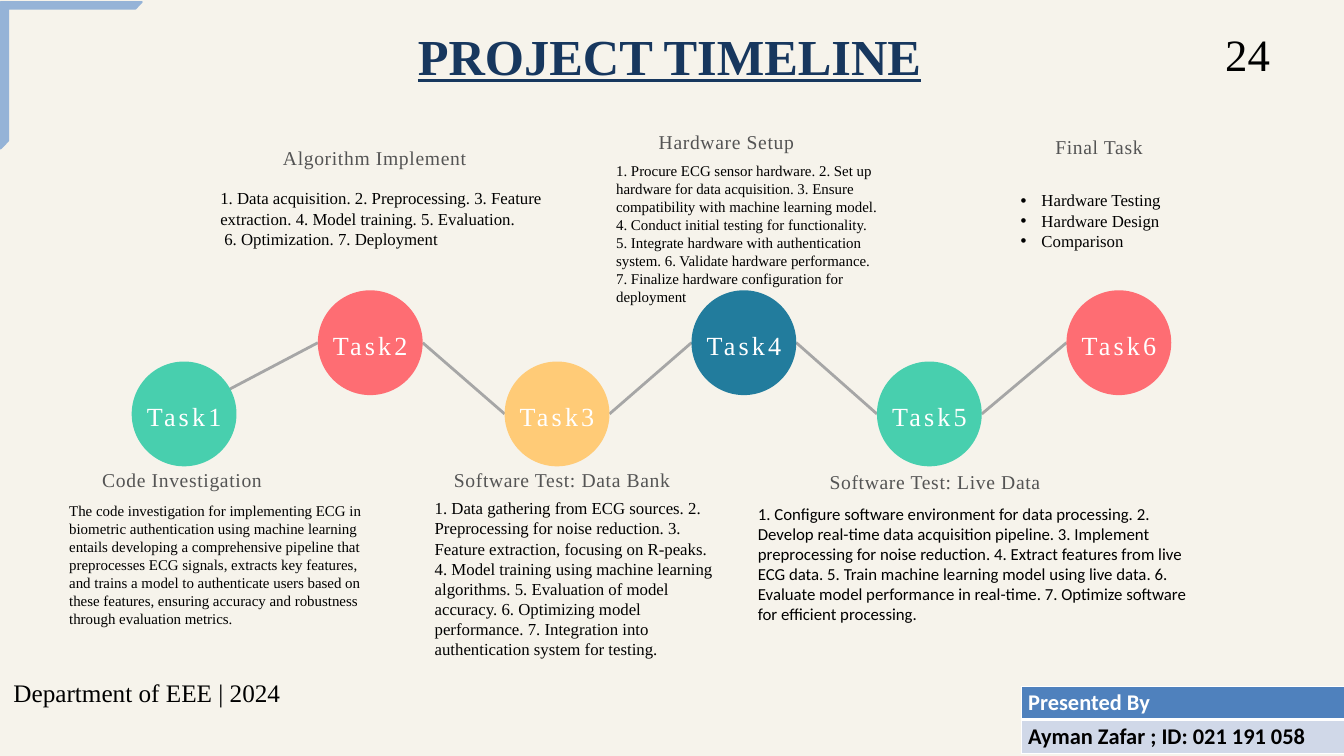
from itertools import pairwise

from lxml.etree import SubElement
from pptx import Presentation
from pptx.dml.color import RGBColor
from pptx.enum.shapes import MSO_CONNECTOR, MSO_SHAPE as SHAPE
from pptx.enum.text import MSO_AUTO_SIZE as AUTO, PP_ALIGN as ALIGN
from pptx.oxml.ns import qn
from pptx.util import Inches, Pt

SERIF, SANS = "Times New Roman", "Calibri"
GREEN, CORAL, YELLOW, BLUE = "48CFAE", "FE6D73", "FFCB77", "227C9D"
DIAMETER = 1.56
HIGH, LOW = 4.32, 5.38


def rgb(value):
    return RGBColor.from_string(value)


class Slide:
    """Holds the style and the page being drawn."""

    def __init__(self, page, background):
        self.page = page
        page.background.fill.solid()
        page.background.fill.fore_color.rgb = rgb(background)

    def style(self, para, size, color="000000", font=SERIF, bold=False,
              underline=False, spacing=0):
        for span in para.runs:
            span.font.size = Pt(size)
            span.font.name = font
            span.font.color.rgb = rgb(color)
            span.font.bold = bold
            span.font.underline = underline
            if spacing:
                span.font._element.set("spc", str(round(spacing * 100)))

    def frame(self, place, text):
        box = self.page.shapes.add_textbox(*map(Inches, place))
        frame = box.text_frame
        frame.text = text
        frame.word_wrap = True
        frame.auto_size = AUTO.SHAPE_TO_FIT_TEXT
        return frame

    def no_margins(self, frame):
        frame.margin_left = frame.margin_right = 0
        frame.margin_top = frame.margin_bottom = 0

    def label(self, place, text, size, leading, **look):
        """One centred line without margins."""
        frame = self.frame(place, text)
        self.no_margins(frame)
        para = frame.paragraphs[0]
        para.alignment = ALIGN.CENTER
        para.line_spacing = Pt(leading)
        self.style(para, size, **look)

    def heading(self, left, top, width, text):
        self.label((left, top, width, 0.37), text, 21, 29.4,
                   color="545454", spacing=0.7)

    def body(self, place, text, size=18, font=SERIF, margins=True):
        frame = self.frame(place, text)
        if not margins:
            self.no_margins(frame)
        for para in frame.paragraphs:
            self.style(para, size, font=font)
        return frame

    def bullets(self, place, items):
        for para in self.body(place, "\n".join(items)).paragraphs:
            props = para._p.get_or_add_pPr()
            props.set("marL", str(Inches(0.31)))
            props.set("indent", str(-Inches(0.31)))
            SubElement(props, qn("a:buFont"), typeface="Arial")
            SubElement(props, qn("a:buChar"), char="•")

    def line(self, start, end):
        line = self.page.shapes.add_connector(
            MSO_CONNECTOR.STRAIGHT, *map(Inches, (*start, *end)))
        line.line.color.rgb = rgb("A6A6A6")
        line.line.width = Pt(3)
        SubElement(line._element.spPr, qn("a:effectLst"))

    def shape(self, kind, place, fill, outline=0):
        shape = self.page.shapes.add_shape(kind, *map(Inches, place))
        shape.shadow.inherit = False
        shape.fill.solid()
        shape.fill.fore_color.rgb = rgb(fill)
        if outline:
            shape.line.color.rgb = rgb(fill)
            shape.line.width = Pt(outline)
        else:
            shape.line.fill.background()
        return shape

    def table(self, place, rows):
        table = self.page.shapes.add_table(
            len(rows), 1, *map(Inches, place)).table
        for index, (text, color, fill, bottom) in enumerate(rows):
            table.rows[index].height = Inches(place[3] / len(rows))
            cell = table.cell(index, 0)
            cell.text = text
            self.style(cell.text_frame.paragraphs[0], 24, color, SANS, bold=True)
            props = cell._tc.get_or_add_tcPr()
            for side, width in zip("LRTB", (1, 1, 1, bottom)):
                edge = SubElement(props, qn(f"a:ln{side}"), w=str(Pt(width)))
                solid = SubElement(edge, qn("a:solidFill"))
                SubElement(solid, qn("a:srgbClr"), val="FFFFFF")
            cell.fill.solid()
            cell.fill.fore_color.rgb = rgb(fill)


def main():
    deck = Presentation()
    deck.slide_width, deck.slide_height = Inches(20), Inches(11.25)
    slide = Slide(deck.slides.add_slide(deck.slide_layouts[6]), "F6F3EB")

    # Zigzag of tasks: lines first, then circles and their labels
    tasks = [(1.96, LOW, GREEN), (4.73, HIGH, CORAL), (7.51, LOW, YELLOW),
             (10.29, HIGH, BLUE), (13.05, LOW, GREEN), (15.87, HIGH, CORAL)]
    radius = DIAMETER / 2
    for number, (task, following) in enumerate(pairwise(tasks), 1):
        start = (task[0] + DIAMETER, task[1] + radius)
        if number == 1:
            start = (3.42, 5.79)
        slide.line(start, (following[0], following[1] + radius))
    for left, top, color in tasks:
        slide.shape(SHAPE.OVAL, (left, top, DIAMETER, DIAMETER), color)
    for number, (left, top, _) in enumerate(tasks, 1):
        slide.label((left, top + 0.43, DIAMETER, 0.59), f"Task{number}",
                    28, 44.8, color="FFFFFF", spacing=3.4)

    # Title, page number and corner
    slide.label((5.81, 0.5, 8.31, 0.77), "PROJECT TIMELINE", 54, 55.5,
                color="17375E", bold=True, underline=True)
    slide.label((17.83, 0.12, 1.47, 1.09), "24", 48, 78)
    corner = slide.shape(SHAPE.HALF_FRAME, (0.01, 0.03, 2.1, 2.18), "95B3D7", 2)
    corner.adjustments[0], corner.adjustments[1] = 0.048, 0.053

    # Task headings
    for heading in [(1.15, 6.9, 3.12, "Code Investigation"),
                    (3.97, 2.12, 3.21, "Algorithm Implement"),
                    (6.41, 6.9, 3.91, "Software Test: Data Bank"),
                    (9.27, 1.87, 3.08, "Hardware Setup"),
                    (11.96, 6.94, 3.91, "Software Test: Live Data"),
                    (15.24, 1.95, 2.23, "Final Task")]:
        slide.heading(*heading)

    # Task descriptions
    slide.body((1.03, 7.47, 4.46, 1.88),
               "The code investigation for implementing ECG in biometric "
               "authentication using machine learning entails developing a "
               "comprehensive pipeline that preprocesses ECG signals, extracts "
               "key features, and trains a model to authenticate users based on "
               "these features, ensuring accuracy and robustness through "
               "evaluation metrics.", size=16, margins=False)
    algorithm = slide.body(
        (3.18, 2.75, 5.06, 1.01),
        "1. Data acquisition. 2. Preprocessing. 3. Feature extraction. "
        "4. Model training. 5. Evaluation.\n6. Optimization. 7. Deployment")
    last_line = algorithm.paragraphs[1]._p.get_or_add_pPr()
    last_line.set("marL", str(Inches(0.06)))
    slide.body((6.37, 7.36, 4.46, 2.52),
               "1. Data gathering from ECG sources. 2. Preprocessing for noise "
               "reduction. 3. Feature extraction, focusing on R-peaks. 4. Model "
               "training using machine learning algorithms. 5. Evaluation of "
               "model accuracy. 6. Optimizing model performance. 7. Integration "
               "into authentication system for testing.")
    slide.body((9.07, 2.36, 4.13, 2.26),
               "1. Procure ECG sensor hardware. 2. Set up hardware for data "
               "acquisition. 3. Ensure compatibility with machine learning "
               "model. 4. Conduct initial testing for functionality. "
               "5. Integrate hardware with authentication system. 6. Validate "
               "hardware performance. 7. Finalize hardware configuration for "
               "deployment", size=16)
    slide.body((11.18, 7.44, 6.67, 1.92),
               "1. Configure software environment for data processing. "
               "2. Develop real-time data acquisition pipeline. 3. Implement "
               "preprocessing for noise reduction. 4. Extract features from live "
               "ECG data. 5. Train machine learning model using live data. "
               "6. Evaluate model performance in real-time. 7. Optimize software "
               "for efficient processing.", font=SANS)
    slide.bullets((15.09, 2.78, 4.33, 1.62),
                  ["Hardware Testing", "Hardware Design", "Comparison"])

    # Footer
    slide.label((-1.58, 10, 7.53, 0.49), "Department of EEE | 2024", 27, 37.8)
    slide.table((15.2, 10.21, 4.8, 0.97),
                [("Presented By", "FFFFFF", "4F81BD", 3),
                 ("Ayman Zafar ; ID: 021 191 058", "000000", "D0D8E8", 1)])

    deck.save("out.pptx")


if __name__ == "__main__":
    main()
